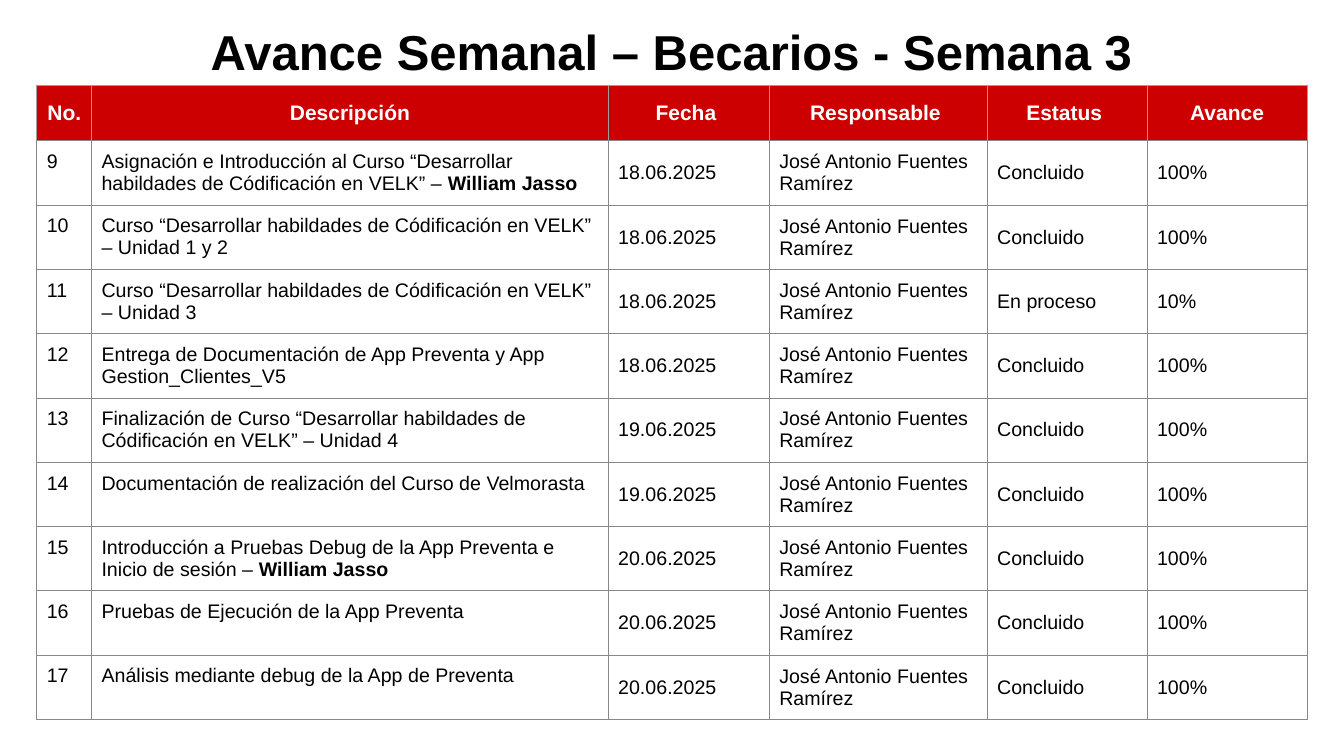
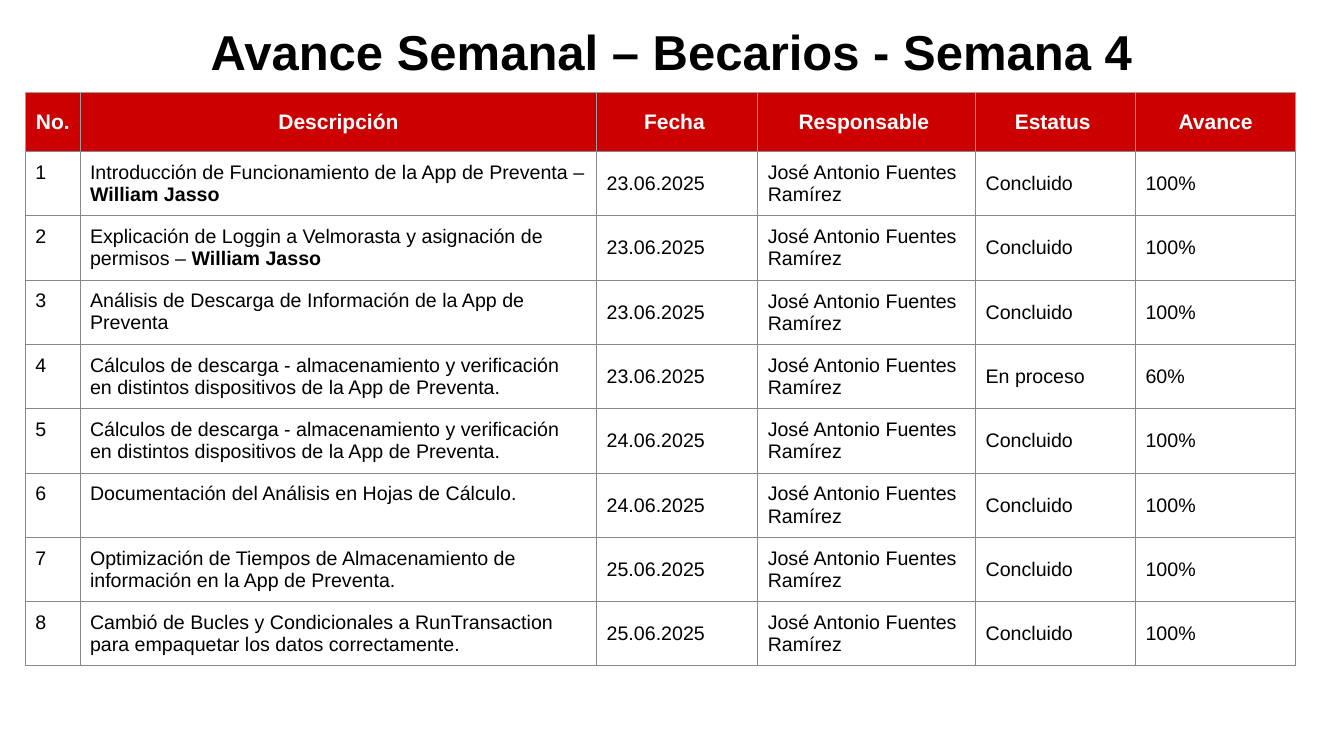
"""Builds the weekly progress slides of the interns."""
from lxml import etree
from pptx import Presentation
from pptx import util as u
from pptx.dml.color import RGBColor
from pptx.enum import text
from pptx.oxml.ns import qn

FONT = "Arial"
RED, WHITE, BLACK = "CC0000", "FFFFFF", "000000"
GRID, HEAD_GRID = "888888", "9E9E9E"
SLIDE_W, SLIDE_H, TITLE_H = 33.87, 19.05, 2.74
COLUMN_WIDTHS = [1.38, 13.02, 4.06, 5.49, 4.03, 4.03]
ROW_H, INSET = 1.62, 0.25

HEADERS = ["No.", "Descripción", "Fecha ", "Responsable ", "Estatus ", "Avance"]
OWNER = "José Antonio Fuentes Ramírez"
LEAD = "William Jasso"
DONE = ("Concluido", "100%")

WEEKS = [
    {"title": "Avance Semanal – Becarios - Semana 3", "first": 9,
     "left": 0.93, "top": 2.16, "head_h": 1.39, "tasks": [
        ("Asignación e Introducción al Curso “Desarrollar habildades de Códificación en VELK” – William Jasso",
         "18.06.2025", DONE),
        ("Curso “Desarrollar habildades de Códificación en VELK” – Unidad 1 y 2", "18.06.2025", DONE),
        ("Curso “Desarrollar habildades de Códificación en VELK” – Unidad 3", "18.06.2025", ("En proceso", "10%")),
        ("Entrega de Documentación de App Preventa y App Gestion_Clientes_V5", "18.06.2025", DONE),
        ("Finalización de Curso “Desarrollar habildades de Códificación en VELK” – Unidad 4", "19.06.2025", DONE),
        ("Documentación de realización del Curso de Velmorasta", "19.06.2025", DONE),
        ("Introducción a Pruebas Debug de la App Preventa e Inicio de sesión – William Jasso", "20.06.2025", DONE),
        ("Pruebas de Ejecución de la App Preventa", "20.06.2025", DONE),
        ("Análisis mediante debug de la App de Preventa", "20.06.2025", DONE),
     ]},
    {"title": "Avance Semanal – Becarios - Semana 4", "first": 1,
     "left": 0.64, "top": 2.34, "head_h": 1.48, "tasks": [
        ("Introducción de Funcionamiento de la App de Preventa – William Jasso", "23.06.2025", DONE),
        ("Explicación de Loggin a Velmorasta y asignación de permisos – William Jasso", "23.06.2025", DONE),
        ("Análisis de Descarga de Información de la App de Preventa", "23.06.2025", DONE),
        ("Cálculos de descarga - almacenamiento y verificación en distintos dispositivos de la App de Preventa.",
         "23.06.2025", ("En proceso", "60%")),
        ("Cálculos de descarga - almacenamiento y verificación en distintos dispositivos de la App de Preventa.",
         "24.06.2025", DONE),
        ("Documentación del Análisis en Hojas de Cálculo.", "24.06.2025", DONE),
        ("Optimización de Tiempos de Almacenamiento de información en la App de Preventa.", "25.06.2025", DONE),
        ("Cambió de Bucles y Condicionales a RunTransaction para empaquetar los datos correctamente.",
         "25.06.2025", DONE),
     ]},
]


def rgb(value):
    return RGBColor.from_string(value)


def write(tf, content, size=14, color=BLACK, bold=False, align=text.PP_ALIGN.LEFT, spacing=None):
    p = tf.paragraphs[0]
    p.alignment = align
    if spacing:
        p.line_spacing = spacing
    before, lead, after = content.partition(LEAD)
    for part in filter(None, (before, lead, after)):
        r = p.add_run()
        r.text = part
        r.font.name, r.font.size = FONT, u.Pt(size)
        r.font.bold = bold or part == LEAD
        r.font.color.rgb = rgb(color)


def add_borders(cell, side_color):
    tc_pr = cell._tc.get_or_add_tcPr()
    for side in "LRTB":
        ln = etree.SubElement(tc_pr, qn(f"a:ln{side}"), w=str(u.Pt(0.75)))
        fill = etree.SubElement(ln, qn("a:solidFill"))
        etree.SubElement(fill, qn("a:srgbClr"), val=GRID if side == "B" else side_color)


def format_cell(cell, content, header, middle):
    cell.margin_left = cell.margin_right = cell.margin_top = cell.margin_bottom = u.Cm(INSET)
    cell.vertical_anchor = text.MSO_ANCHOR.MIDDLE if middle else text.MSO_ANCHOR.TOP
    add_borders(cell, HEAD_GRID if header else GRID)
    cell.fill.solid()
    cell.fill.fore_color.rgb = rgb(RED if header else WHITE)
    style = dict(size=15, color=WHITE, bold=True, align=text.PP_ALIGN.CENTER) if header else {}
    write(cell.text_frame, content, **style)


def add_title(s, content):
    sp = s.shapes.title
    sp.left, sp.top, sp.width, sp.height = 0, 0, u.Cm(SLIDE_W), u.Cm(TITLE_H)
    tf = sp.text_frame
    tf.auto_size = text.MSO_AUTO_SIZE.NONE
    tf.vertical_anchor = text.MSO_ANCHOR.MIDDLE
    write(tf, content, size=35, bold=True, align=text.PP_ALIGN.CENTER, spacing=0.9)


def add_task_table(s, week):
    tasks = enumerate(week["tasks"], week["first"])
    rows = [HEADERS] + [[str(n), task, date, OWNER, *progress] for n, (task, date, progress) in tasks]
    heights = [week["head_h"]] + [ROW_H] * len(week["tasks"])
    frame = s.shapes.add_table(len(rows), len(HEADERS), u.Cm(week["left"]), u.Cm(week["top"]),
                               u.Cm(sum(COLUMN_WIDTHS)), u.Cm(sum(heights)))
    table = frame.table
    table.horz_banding = False
    for column, width in zip(table.columns, COLUMN_WIDTHS):
        column.width = u.Cm(width)
    for i, (values, height) in enumerate(zip(rows, heights)):
        table.rows[i].height = u.Cm(height)
        for j, value in enumerate(values):
            format_cell(table.cell(i, j), value, header=i == 0, middle=i == 0 or j > 1)


def main():
    prs = Presentation()
    prs.slide_width, prs.slide_height = u.Cm(SLIDE_W), u.Cm(SLIDE_H)
    for week in WEEKS:
        s = prs.slides.add_slide(prs.slide_layouts[5])
        add_title(s, week["title"])
        add_task_table(s, week)
    prs.save("out.pptx")


if __name__ == "__main__":
    main()
